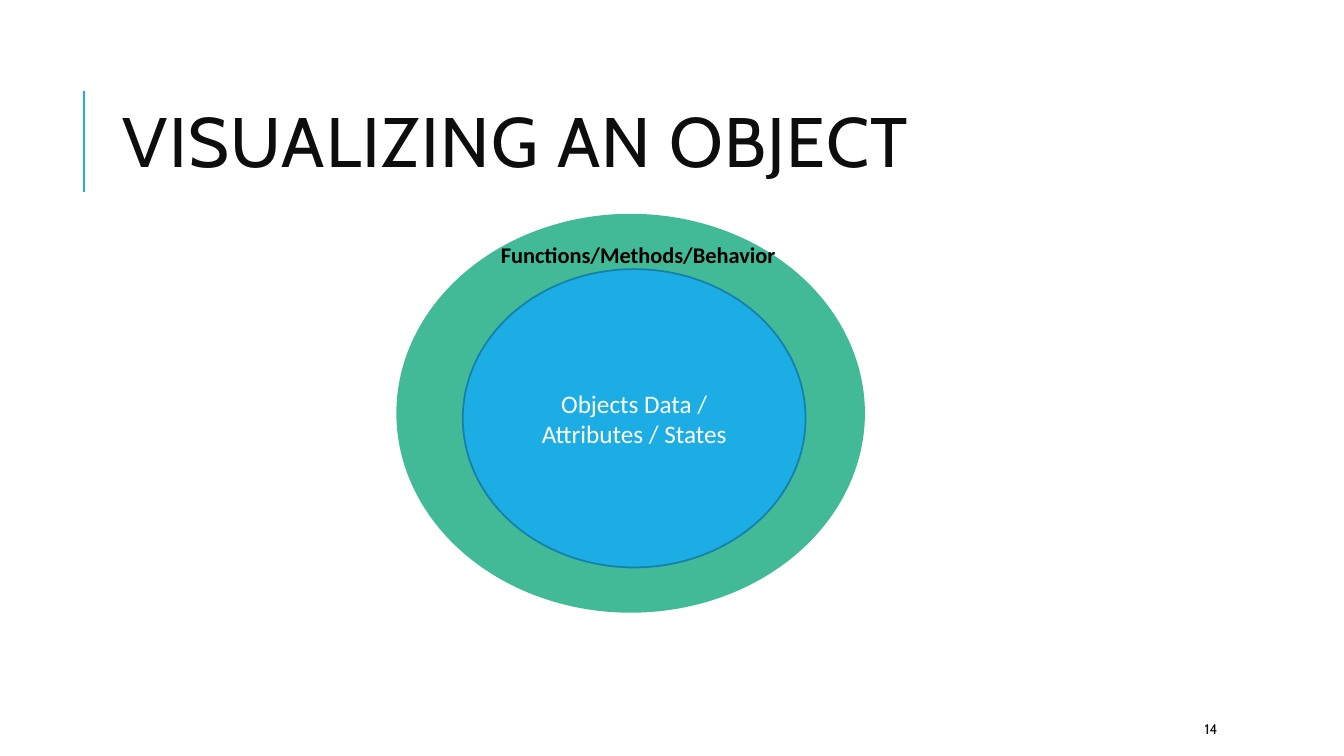
import pptx
import pptx.dml.color
import pptx.enum.shapes
import pptx.enum.text
import pptx.oxml.ns
import pptx.util
from lxml import etree
from pptx.util import Inches

ANCHOR = pptx.enum.text.MSO_ANCHOR
ALIGN = pptx.enum.text.PP_ALIGN


def color(value):
    """Return the colour for a hex string."""
    return pptx.dml.color.RGBColor.from_string(value)


def write_text(shape, text, size, font="Calibri", fill="000000", bold=False,
               align=ALIGN.LEFT, anchor=ANCHOR.MIDDLE, line_spacing=1.0, tracking=0):
    """Write one formatted paragraph into a shape."""
    frame = shape.text_frame
    frame.word_wrap = True
    frame.vertical_anchor = anchor
    para = frame.paragraphs[0]
    para.alignment = align
    para.line_spacing = line_spacing
    span = para.add_run()
    span.text = text
    span.font.name = font
    span.font.size = pptx.util.Pt(size)
    span.font.bold = bold
    span.font.color.rgb = color(fill)
    if tracking:
        span.font._element.set("spc", str(tracking * 100))


def add_text(page, left, top, width, height, text, size, **style):
    """Add a text box with one formatted paragraph."""
    box = page.shapes.add_textbox(Inches(left), Inches(top), Inches(width), Inches(height))
    write_text(box, text, size, **style)


def add_ellipse(page, left, top, width, height, fill, line):
    """Add a filled and outlined ellipse."""
    ellipse = page.shapes.add_shape(
        pptx.enum.shapes.MSO_SHAPE.OVAL,
        Inches(left), Inches(top), Inches(width), Inches(height))
    ellipse.shadow.inherit = False
    ellipse.fill.solid()
    ellipse.fill.fore_color.rgb = color(fill)
    ellipse.line.color.rgb = color(line)
    ellipse.line.width = pptx.util.Pt(1.25)
    return ellipse


def add_rule(page, x, top, bottom, fill, width):
    """Add a vertical line without a shadow."""
    rule = page.shapes.add_connector(
        pptx.enum.shapes.MSO_CONNECTOR.STRAIGHT,
        Inches(x), Inches(bottom), Inches(x), Inches(top))
    rule.line.color.rgb = color(fill)
    rule.line.width = pptx.util.Pt(width)
    etree.SubElement(rule._element.spPr, pptx.oxml.ns.qn("a:effectLst"))


def main():
    """Build the slide and save the deck."""
    deck = pptx.Presentation()
    deck.slide_width, deck.slide_height = Inches(13.33), Inches(7.5)
    page = deck.slides.add_slide(deck.slide_layouts[6])

    add_rule(page, 0.83, 0.9, 1.9, "1CADE4", 1.5)
    add_ellipse(page, 3.94, 2.13, 4.63, 3.94, "42BA97", "42BA97")
    add_text(page, 1.12, 0.64, 10.63, 1.64, "VISUALIZING AN OBJECT", 50,
             font="Cabin", fill="0D0D0D", line_spacing=0.8, tracking=1)
    add_text(page, 11.85, 7.08, 1.06, 0.3, "14", 10, font="Cabin", fill="0D0D0D")
    data = add_ellipse(page, 4.59, 2.67, 3.4, 2.96, "1CADE4", "1580A9")
    write_text(data, "Objects Data / Attributes / States", 18,
               fill="FFFFFF", align=ALIGN.CENTER)
    add_text(page, 4.87, 2.34, 3.62, 0.37, "Functions/Methods/Behavior", 16,
             bold=True, anchor=ANCHOR.TOP)

    deck.save("out.pptx")


if __name__ == "__main__":
    main()
